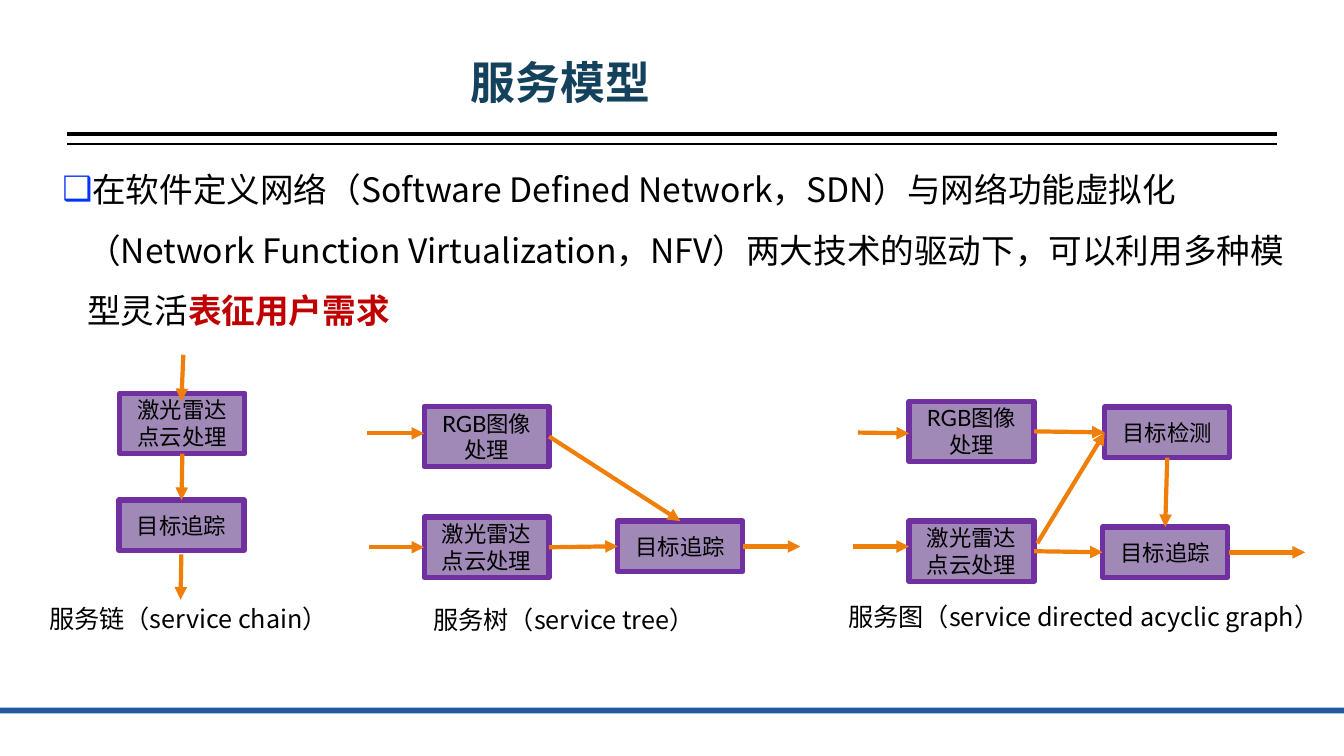
from lxml.etree import SubElement
from pptx import Presentation
from pptx.dml.color import RGBColor
from pptx.enum.shapes import MSO_CONNECTOR, MSO_SHAPE
from pptx.enum.text import MSO_ANCHOR, PP_ALIGN
from pptx.oxml.ns import qn
from pptx.util import Cm, Pt

BLACK = RGBColor(0x00, 0x00, 0x00)
TITLE_TEAL = RGBColor(0x14, 0x42, 0x5D)
BULLET_BLUE = RGBColor(0x04, 0x32, 0xFF)
EMPHASIS_RED = RGBColor(0xC0, 0x00, 0x00)
FOOTER_BLUE = RGBColor(0x20, 0x5A, 0xA3)
BOX_FILL = RGBColor(0xA0, 0x88, 0xB7)
BOX_BORDER = RGBColor(0x70, 0x30, 0xA0)
ARROW_ORANGE = RGBColor(0xF0, 0x7F, 0x09)

CJK_FONT = "Noto Sans CJK SC"
BOX_WIDTH = 3.15
TALL, SHORT = 1.52, 1.27
TOP, LEFT, BOTTOM, RIGHT = range(4)  # connection sites of a rectangle

LIDAR = "激光雷达点云处理"
RGB_IMAGE = "RGB图像处理"
TRACKING = "目标追踪"
DETECTION = "目标检测"


class ServiceSlide:
    """Holds the slide and draws its elements; all lengths are in centimetres."""

    def __init__(self, slide):
        self.shapes = slide.shapes

    def style(self, run, size, font=CJK_FONT, color=BLACK, bold=False):
        run.font.size = Pt(size)
        run.font.name = font
        run.font.bold = bold
        run.font.color.rgb = color
        east_asian = SubElement(run.font._element, qn("a:ea"))
        east_asian.set("typeface", CJK_FONT)

    def text(self, left, top, width, height, wording, size, **look):
        """Add a wrapping text box and return its text frame."""
        frame = self.shapes.add_textbox(Cm(left), Cm(top), Cm(width), Cm(height)).text_frame
        frame.word_wrap = True
        frame.text = wording
        self.style(frame.paragraphs[0].runs[0], size, **look)
        return frame

    def bullet(self, paragraph, symbol, hanging):
        properties = paragraph._p.get_or_add_pPr()
        properties.set("marL", str(Cm(hanging)))
        properties.set("indent", str(-Cm(hanging)))
        color = SubElement(SubElement(properties, qn("a:buClr")), qn("a:srgbClr"))
        color.set("val", str(BULLET_BLUE))
        SubElement(properties, qn("a:buFont")).set("typeface", "Arial")
        SubElement(properties, qn("a:buChar")).set("char", symbol)

    def rectangle(self, left, top, width, height, fill):
        shape = self.shapes.add_shape(
            MSO_SHAPE.RECTANGLE, Cm(left), Cm(top), Cm(width), Cm(height))
        shape.shadow.inherit = False
        shape.fill.solid()
        shape.fill.fore_color.rgb = fill
        shape.line.fill.background()
        return shape

    def box(self, left, top, height, wording):
        """Add one processing step of a service."""
        step = self.rectangle(left, top, BOX_WIDTH, height, BOX_FILL)
        step.line.color.rgb = BOX_BORDER
        step.line.width = Pt(3.78)
        frame = step.text_frame
        frame.word_wrap = True
        frame.vertical_anchor = MSO_ANCHOR.MIDDLE
        frame.text = wording
        frame.paragraphs[0].alignment = PP_ALIGN.CENTER
        self.style(frame.paragraphs[0].runs[0], 16, "Lato")
        return step

    def line(self, x1, y1, x2, y2, color=BLACK, weight=3):
        connector = self.shapes.add_connector(
            MSO_CONNECTOR.STRAIGHT, Cm(x1), Cm(y1), Cm(x2), Cm(y2))
        connector.line.color.rgb = color
        connector.line.width = Pt(weight)
        SubElement(connector._element.spPr, qn("a:effectLst"))
        return connector

    def arrow(self, x1, y1, x2, y2):
        connector = self.line(x1, y1, x2, y2, ARROW_ORANGE)
        head = SubElement(connector.line._get_or_add_ln(), qn("a:tailEnd"))
        head.set("type", "triangle")
        return connector

    def link(self, source, source_site, target, target_site):
        """Join two steps with an arrow glued to their connection sites."""
        connector = self.arrow(0, 0, 1, 1)
        connector.begin_connect(source, source_site)
        connector.end_connect(target, target_site)


def draw_frame(page):
    for y, weight in ((3.38, 3), (3.63, 1)):
        page.line(1.7, y, 32.18, y, weight=weight)
    page.rectangle(0, 17.83, 33.87, 0.15, FOOTER_BLUE)

    title = page.text(1.19, 1.45, 25.88, 1.4, "服务模型", 32,
                      font="Arial", color=TITLE_TEAL, bold=True)
    title.vertical_anchor = MSO_ANCHOR.MIDDLE
    title.paragraphs[0].alignment = PP_ALIGN.CENTER
    title.paragraphs[0].line_spacing = 0.9

    intro = page.text(
        1.57, 3.63, 31.45, 4.95,
        "在软件定义网络（Software Defined Network，SDN）与网络功能虚拟化"
        "（Network Function Virtualization，NFV）两大技术的驱动下，"
        "可以利用多种模型灵活", 24)
    intro.margin_left = intro.margin_right = 0
    paragraph = intro.paragraphs[0]
    paragraph.line_spacing = 1.5
    page.bullet(paragraph, "❑", 0.63)
    emphasis = paragraph.add_run()
    emphasis.text = "表征用户需求"
    page.style(emphasis, 24, color=EMPHASIS_RED, bold=True)


def draw_chain(page):
    lidar = page.box(3.02, 9.91, TALL, LIDAR)
    tracking = page.box(3, 12.6, SHORT, TRACKING)
    page.link(lidar, BOTTOM, tracking, TOP)
    page.arrow(4.62, 8.94, 4.57, 10.11)
    page.arrow(4.57, 13.97, 4.55, 15.11)
    page.text(0.99, 15.09, 8.25, 1.02, "服务链（service chain）", 18)


def draw_tree(page):
    lidar = page.box(10.69, 13.03, TALL, LIDAR)
    tracking = page.box(15.57, 13.13, SHORT, TRACKING)
    image = page.box(10.69, 10.24, TALL, RGB_IMAGE)
    page.link(lidar, RIGHT, tracking, LEFT)
    page.link(image, RIGHT, tracking, TOP)
    page.arrow(9.3, 13.79, 10.69, 13.79)
    page.arrow(9.25, 10.92, 10.69, 10.92)
    page.arrow(18.72, 13.77, 20.17, 13.77)
    page.text(10.67, 15.11, 7.24, 1.02, "服务树（service tree）", 18)


def draw_graph(page):
    lidar = page.box(22.91, 13.13, TALL, LIDAR)
    tracking = page.box(27.79, 13.28, SHORT, TRACKING)
    image = page.box(22.91, 10.11, TALL, RGB_IMAGE)
    detection = page.box(27.84, 10.26, SHORT, DETECTION)
    page.link(lidar, RIGHT, tracking, LEFT)
    page.link(image, RIGHT, detection, LEFT)
    page.link(detection, BOTTOM, tracking, TOP)
    page.arrow(26.14, 13.69, 27.84, 10.9)
    page.arrow(21.49, 13.77, 22.91, 13.77)
    page.arrow(21.62, 10.9, 22.91, 10.92)
    page.arrow(30.96, 13.92, 32.89, 13.92)
    page.text(21.13, 15.04, 12.74, 1.02, "服务图（service directed acyclic graph）", 18)


def main():
    presentation = Presentation()
    presentation.slide_width = Cm(33.87)
    presentation.slide_height = Cm(19.05)
    page = ServiceSlide(presentation.slides.add_slide(presentation.slide_layouts[6]))
    draw_frame(page)
    draw_chain(page)
    draw_tree(page)
    draw_graph(page)
    presentation.save("out.pptx")


if __name__ == "__main__":
    main()
